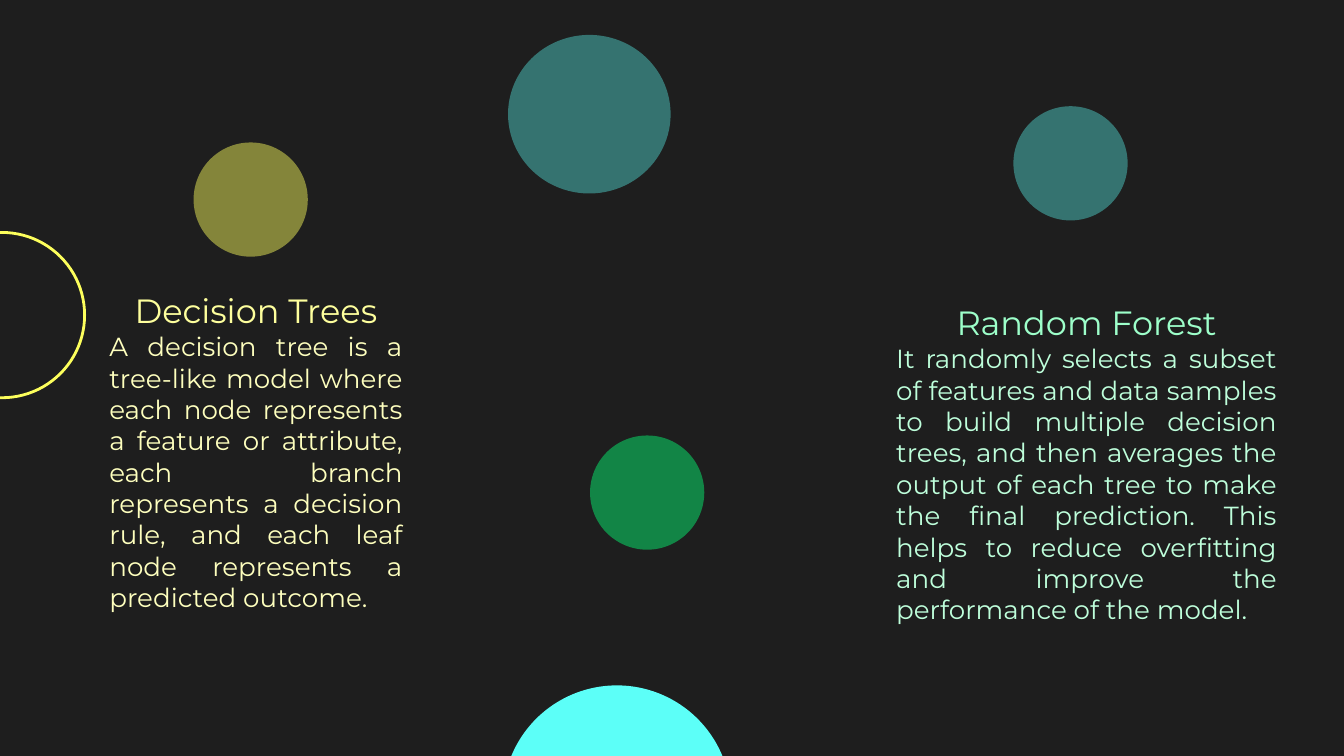
"""Build a slide that sets decision trees beside random forests."""
from lxml.etree import SubElement
from pptx import Presentation
from pptx.dml.color import RGBColor as RGB
from pptx.enum.shapes import MSO_SHAPE as Shape
from pptx.enum.text import MSO_ANCHOR as Anchor, PP_ALIGN as Align
from pptx.oxml.ns import qn
from pptx.util import Inches, Pt

DARK = RGB(0x1E, 0x1E, 0x1E)
YELLOW = RGB(0xFD, 0xFF, 0x5C)
CYAN = RGB(0x5C, 0xFF, 0xF8)
GREEN = RGB(0x05, 0xFF, 0x77)
LEMON = RGB(0xFE, 0xFF, 0x9D)
CREAM = RGB(0xFE, 0xFF, 0xBE)
MINT = RGB(0x9D, 0xFF, 0xCA)
PALE = RGB(0xBE, 0xFF, 0xDB)

COLS, ROWS = 100, 56.25
DOT = 8.5
TREE = ("A decision tree is a tree-like model where each node represents a "
        "feature or attribute, each branch represents a decision rule, and "
        "each leaf node represents a predicted outcome.")
FOREST = ("It randomly selects a subset of features and data samples to build "
          "multiple decision trees, and then averages the output of each tree "
          "to make the final prediction. This helps to reduce overfitting and "
          "improve the performance of the model.")


def write(para, text, size=14, color=CREAM, align=Align.JUSTIFY, face="Montserrat"):
    para.alignment = align
    run = para.add_run()
    run.text = text
    run.font.name, run.font.size = face, Pt(size)
    run.font.color.rgb = color


class Deck:
    def __init__(self, wide=10):
        self.prs = Presentation()
        self.prs.slide_width = Inches(wide)
        self.prs.slide_height = Inches(wide) * 9 // 16
        self.slide = self.prs.slides.add_slide(self.prs.slide_layouts[6])
        back = self.slide.background.fill
        back.solid()
        back.fore_color.rgb = DARK

    def grid(self, col, row, wide, high):
        x, y = self.prs.slide_width / COLS, self.prs.slide_height / ROWS
        return [round(v) for v in (col * x, row * y, wide * x, high * y)]

    def oval(self, col, row, wide, high):
        shape = self.slide.shapes.add_shape(Shape.OVAL, *self.grid(col, row, wide, high))
        shape.shadow.inherit = False
        return shape

    def ring(self, col, row, size, color):
        shape = self.oval(col, row, size, size)
        shape.fill.background()
        shape.line.color.rgb = color
        shape.line.width = Pt(1.5)

    def disc(self, col, row, color, wide=DOT, high=DOT, alpha=100):
        shape = self.oval(col, row, wide, high)
        shape.line.fill.background()
        shape.fill.solid()
        shape.fill.fore_color.rgb = color
        if alpha < 100:
            tone = shape.fill._xPr.find(qn("a:solidFill"))[0]
            SubElement(tone, qn("a:alpha"), val=str(alpha * 1000))

    def note(self, col, row, wide, head, body, bright, soft):
        box = self.slide.shapes.add_textbox(*self.grid(col, row, wide, 4.2))
        frame = box.text_frame
        frame.word_wrap = True
        frame.vertical_anchor = Anchor.MIDDLE
        frame.margin_left = frame.margin_right = Inches(0.1)
        frame.margin_top = frame.margin_bottom = Inches(0.1)
        write(frame.paragraphs[0], head, size=18, color=bright, align=Align.CENTER)
        write(frame.add_paragraph(), body, color=soft)


def main():
    deck = Deck()
    deck.ring(-6, 17.3, 12.3, YELLOW)
    deck.disc(37.4, 51, CYAN, wide=17, high=17)
    deck.note(7.15, 31.5, 23.8, "Decision Trees", TREE, LEMON, CREAM)
    deck.disc(14.4, 10.6, YELLOW, alpha=46)
    deck.disc(75.4, 7.9, CYAN, alpha=38)
    deck.note(65.7, 32.4, 30.3, "Random Forest", FOREST, MINT, PALE)
    deck.disc(43.9, 32.4, GREEN, alpha=46)
    deck.disc(37.8, 2.6, CYAN, wide=12.1, high=11.8, alpha=38)
    deck.prs.save("out.pptx")


if __name__ == "__main__":
    main()
